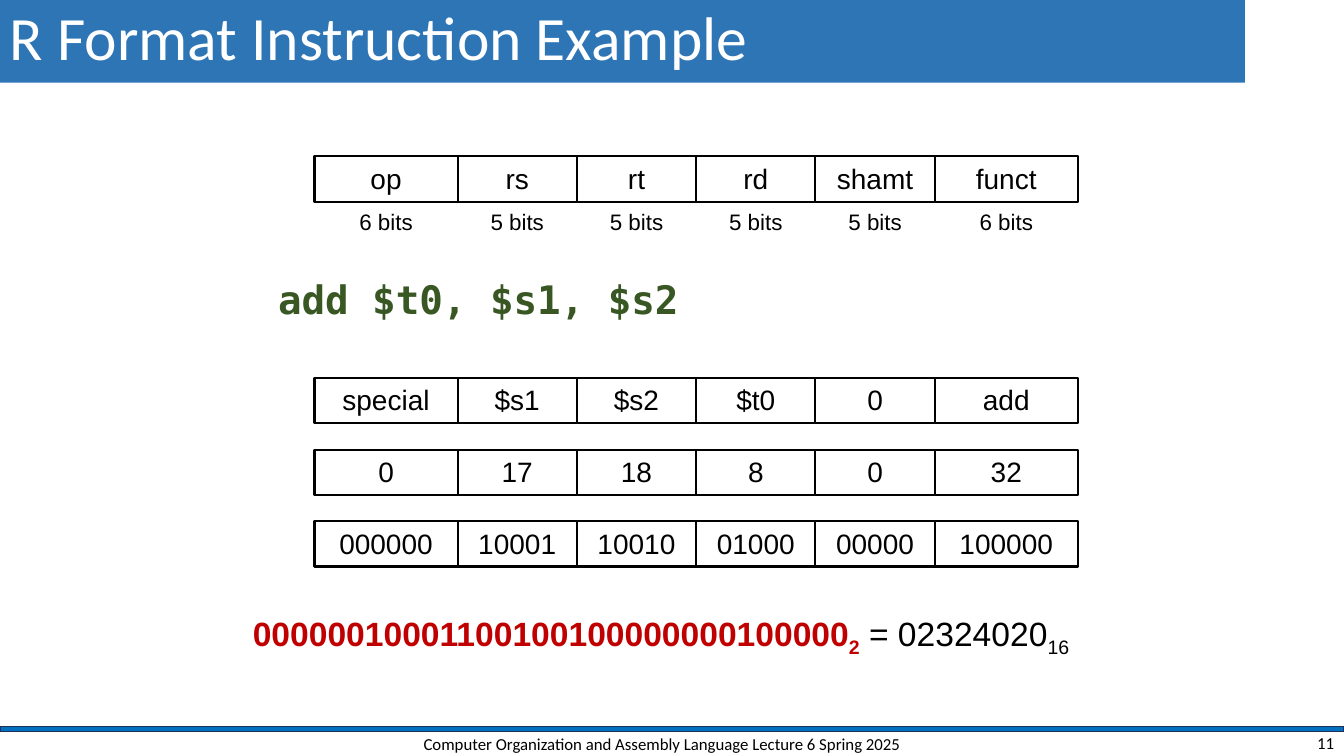
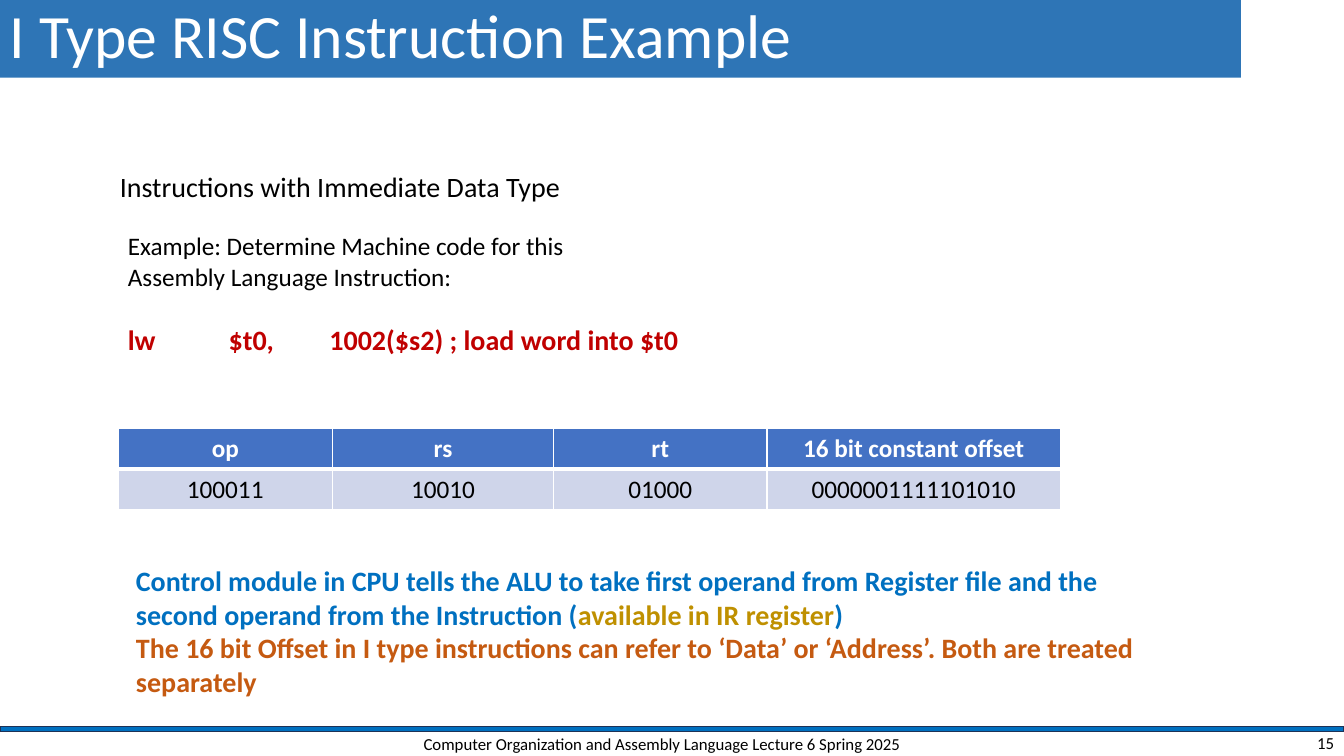
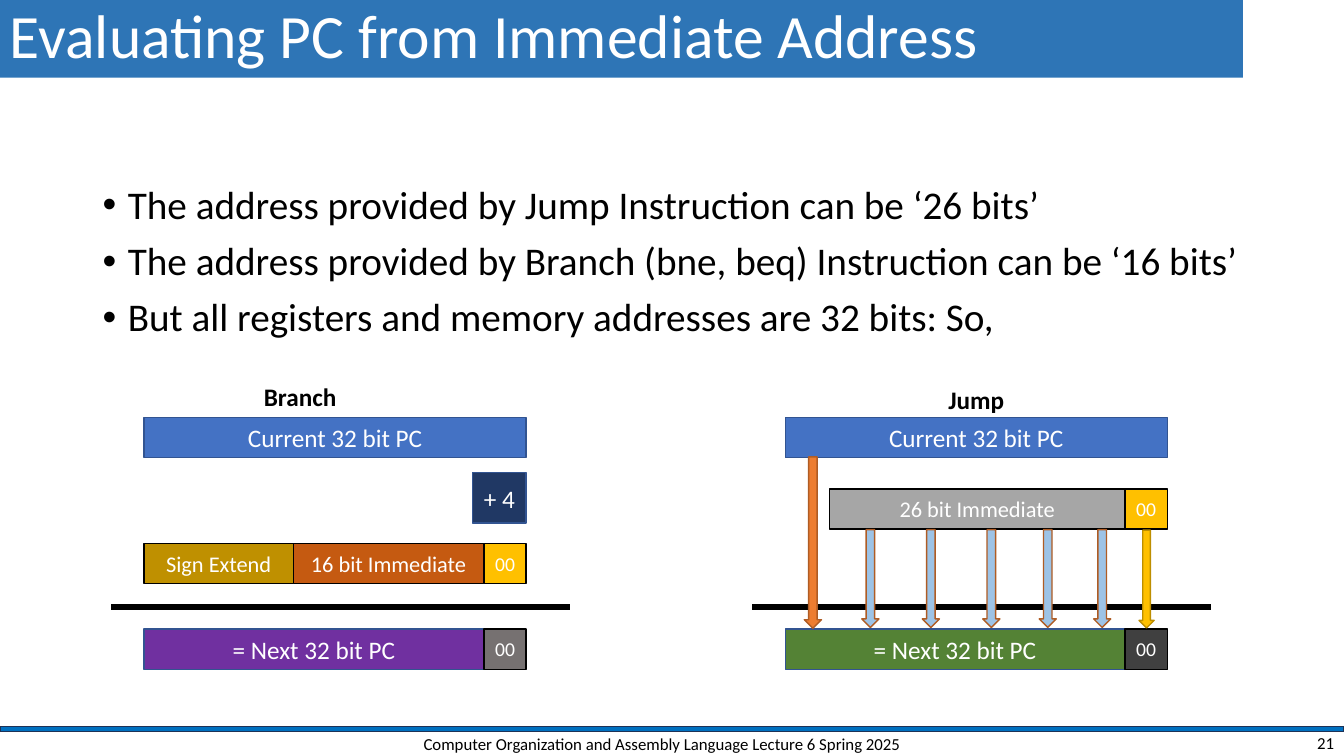
from dataclasses import dataclass
from itertools import accumulate

from pptx import Presentation
from pptx.dml.color import RGBColor
from pptx.enum.shapes import MSO_CONNECTOR, MSO_SHAPE
from pptx.enum.text import MSO_ANCHOR, PP_ALIGN
from pptx.oxml.ns import qn
from pptx.util import Emu, Inches, Pt
from lxml import etree

RECT, DOWN = MSO_SHAPE.RECTANGLE, MSO_SHAPE.DOWN_ARROW
LINE = MSO_CONNECTOR.STRAIGHT
LEFT, MID, RIGHT = PP_ALIGN.LEFT, PP_ALIGN.CENTER, PP_ALIGN.RIGHT
TOP, CORE = MSO_ANCHOR.TOP, MSO_ANCHOR.MIDDLE

# The slide is a grid of square units
COLS, ROWS = 80, 45
UNIT = Inches(7.5) / ROWS


@dataclass(frozen=True)
class Theme:
    # fonts
    body: str = "Calibri"
    plain: str = "Arial"
    code: str = "DejaVu Sans Mono"
    # type sizes
    title: int = 44
    big: int = 28
    sum: int = 24
    lead: int = 20
    text: int = 18
    note: int = 16
    tiny: int = 14
    foot: int = 12
    # colours
    black: str = "000000"
    white: str = "FFFFFF"
    band: str = "2E75B6"
    azure: str = "0070C0"
    edge: str = "1E3256"
    blue: str = "4472C4"
    rim: str = "325491"
    navy: str = "203864"
    pale: str = "CFD5EA"
    sky: str = "9DC3E6"
    red: str = "C00000"
    rust: str = "C55A11"
    amber: str = "ED7D31"
    brown: str = "AF5C24"
    gold: str = "BF9000"
    sun: str = "FFC000"
    ochre: str = "BD8E00"
    plum: str = "7030A0"
    moss: str = "385723"
    green: str = "548235"
    silver: str = "A6A6A6"
    stone: str = "767171"
    coal: str = "404040"


T = Theme()


def grid(*cells):
    return [Emu(round(c * UNIT)) for c in cells]


def rgb(code):
    return RGBColor.from_string(code)


# Text: each paragraph is a string or a list of runs,
# each run a string or a pair of string and format
def write(frame, paras, anchor=TOP, wrap=True, **base):
    frame.word_wrap, frame.vertical_anchor = wrap, anchor
    for i, runs in enumerate([paras] if isinstance(paras, str) else paras):
        para = frame.add_paragraph() if i else frame.paragraphs[0]
        pairs = [(r, {}) if isinstance(r, str) else r
                 for r in ([runs] if isinstance(runs, str) else runs)]
        style(para, **(base | pairs[0][1]))
        for text, more in pairs:
            ink(para.add_run(), text, **(base | more))


def style(para, align=LEFT, line=None, before=None, indent=0, bullet=None,
          tabs=(), **_):
    para.alignment = align
    if line:
        para.line_spacing = line
    if before:
        para.space_before = Pt(before)
    props = para._p.get_or_add_pPr()
    if indent:
        props.set("marL", str(Inches(indent)))
    if bullet:
        props.set("indent", str(-Inches(indent)))
        etree.SubElement(props, qn("a:buFont")).set("typeface", T.plain)
        etree.SubElement(props, qn("a:buChar")).set("char", bullet)
    if tabs:
        stops = etree.SubElement(props, qn("a:tabLst"))
        for tab in tabs:
            etree.SubElement(stops, qn("a:tab"), pos=str(Inches(tab)),
                             algn="l")


def ink(run, text, size=T.text, font=T.body, color=T.black, bold=False,
        drop=0, **_):
    run.text = text
    run.font.size, run.font.name, run.font.bold = Pt(size), font, bold
    run.font.color.rgb = rgb(color)
    if drop:
        run._r.get_or_add_rPr().set("baseline", str(-drop * 1000))


# Elements
def label(slide, at, paras, **fmt):
    write(slide.shapes.add_textbox(*grid(*at)).text_frame, paras, **fmt)


def box(slide, at, fill=None, edge=None, text="", kind=RECT, width=1, **fmt):
    shape = slide.shapes.add_shape(kind, *grid(*at))
    shape.shadow.inherit = False
    if fill:
        shape.fill.solid()
        shape.fill.fore_color.rgb = rgb(fill)
    else:
        shape.fill.background()
    if edge:
        shape.line.color.rgb = rgb(edge)
        shape.line.width = Pt(width)
    else:
        shape.line.fill.background()
    if text:
        write(shape.text_frame, text,
              **(dict(anchor=CORE, align=MID, color=T.white) | fmt))


def bar(slide, left, top, wide):
    line = slide.shapes.add_connector(
        LINE, *grid(left, top, left + wide, top))
    line.line.color.rgb = rgb(T.black)
    line.line.width = Pt(4.5)
    etree.SubElement(line._element.spPr, qn("a:effectLst"))


def border(cell, **sides):
    props = cell._tc.get_or_add_tcPr()
    for side in "LRTB":
        line = etree.SubElement(props, qn(f"a:ln{side}"))
        line.set("w", str(Pt(sides.get(side, 1))))
        fill = etree.SubElement(line, qn("a:solidFill"))
        etree.SubElement(fill, qn("a:srgbClr")).set("val", T.white)


def table(slide, left, top, wides, tall, rows):
    grille = slide.shapes.add_table(
        len(rows), len(wides),
        *grid(left, top, sum(wides), tall * len(rows))).table
    for col, wide in zip(grille.columns, grid(*wides)):
        col.width = wide
    for r, row in enumerate(rows):
        head = r == 0
        for c, text in enumerate(row):
            cell = grille.cell(r, c)
            border(cell, **({"B": 3} if head else {"T": 3}))
            cell.fill.solid()
            cell.fill.fore_color.rgb = rgb(T.blue if head else T.pale)
            write(cell.text_frame, text, align=MID, bold=head,
                  color=T.white if head else T.black)


# Title band, rule and footer of every slide
def page(deck, title, num, band):
    slide = deck.slides.add_slide(deck.slide_layouts[6])
    box(slide, (0, 43.26, COLS, 0.3), T.azure, T.edge)
    box(slide, band, T.band, text=title, size=T.title, align=LEFT, line=0.9)
    foot = dict(size=T.foot, anchor=CORE)
    label(slide, (23.52, 43.44, 31.8, 1.68),
          "Computer Organization and Assembly Language Lecture 6 Spring 2025",
          align=MID, **foot)
    label(slide, (62, 43.44, 18, 1.5), str(num), align=RIGHT, **foot)
    return slide


# Instruction fields, as wide as their bits
BITS = (6, 5, 5, 5, 5, 6)
BIT, EDGE = 1.42, 18.72


def fields():
    ends = accumulate(BITS, initial=0)
    return [(EDGE + BIT * end, BIT * bits) for end, bits in zip(ends, BITS)]


def word(slide, top, names):
    for (left, wide), name in zip(fields(), names.split()):
        box(slide, (left, top, wide, 2.7), None, T.black, name, width=1.5,
            size=T.lead, font=T.plain, color=T.black, anchor=TOP)


def format_r(deck):
    slide = page(deck, "R Format Instruction Example", 11,
                 (0, -0.12, 74.1, 5.04))
    word(slide, 9.3, "op rs rt rd shamt funct")
    for (left, wide), bits in zip(fields(), BITS):
        label(slide, (left + wide / 2 - 2.2, 12.12, 4.4, 2.22),
              f"{bits} bits", size=T.note, font=T.plain, align=MID, wrap=False)
    label(slide, (14.46, 16.38, 54.3, 4.26), "add $t0, $s1, $s2", size=T.big,
          font=T.code, color=T.moss, bold=True, indent=0.25, line=0.9,
          before=10)
    for i, names in enumerate(("special $s1 $s2 $t0 0 add",
                               "0 17 18 8 0 32",
                               "000000 10001 10010 01000 00000 100000")):
        word(slide, 22.5 + 4.26 * i, names)
    strong = dict(color=T.red, bold=True)
    label(slide, (14.46, 36.18, 53.4, 3.3),
          [[("00000010001100100100000000100000", strong),
            ("2", strong | {"drop": 25}),
            " = 02324020", ("16", {"drop": 25})]],
          size=T.sum, font=T.plain)


def type_i(deck):
    slide = page(deck, "I Type RISC Instruction Example", 15,
                 (0, 0, 73.86, 4.62))
    label(slide, (6.54, 9.78, 27.66, 2.64),
          "Instructions with Immediate Data Type", size=T.lead, wrap=False)
    label(slide, (7.02, 13.44, 67.68, 20.82),
          ["Example: Determine Machine code for this",
           "Assembly Language Instruction:",
           [("lw\t$t0,\t1002($s2) ; load word into $t0",
             dict(size=T.lead, color=T.red, bold=True, before=22,
                  tabs=(1, 2)))]])
    table(slide, 7.02, 25.5, (12.78, 13.14, 12.72, 17.46), 2.43,
          [("op", "rs", "rt", "16 bit constant offset"),
           ("100011", "10010", "01000", "0000001111101010")])
    rust = {"color": T.rust}
    label(slide, (7.5, 33.24, 61.14, 8.7),
          ["Control module in CPU tells the ALU to take first operand "
           "from Register file and the",
           ["second operand from the Instruction (",
            ("available in IR register", {"color": T.gold}), ")"],
           [("The 16 bit Offset in I type instructions can refer to "
             "‘Data’ or ‘Address’. Both are treated", rust)],
           [("separately", rust)]],
          size=T.lead, color=T.azure, bold=True, wrap=False)


# Parts of an address sum
FULL, HIGH, TALL = 22.74, 20.22, 2.4


def zeros(slide, left, top, fill):
    box(slide, (left + HIGH, top, FULL - HIGH, TALL), fill, T.black, "00",
        size=T.tiny)


def chain(slide, left, name, spot, fill, tail):
    label(slide, spot, name, bold=True, wrap=False)
    box(slide, (left, 24.84, FULL, TALL), T.blue, T.rim, "Current 32 bit PC")
    box(slide, (left, 37.44, HIGH, TALL), fill, T.rim, "= Next 32 bit PC")
    zeros(slide, left, 37.44, tail)
    bar(slide, left - 1.95, 36.12, 27.3)


def arrow(slide, left, top, wide, tall, fill, edge):
    box(slide, (left, top, wide, tall), fill, edge, kind=DOWN)


def address(deck):
    slide = page(deck, "Evaluating PC from Immediate Address", 21,
                 (0, 0, 73.98, 4.62))
    label(slide, (5.52, 10.74, 69, 10.62),
          ["The address provided by Jump Instruction can be ‘26 bits’",
           "The address provided by Branch (bne, beq) Instruction "
           "can be ‘16 bits’",
           "But all registers and memory addresses are 32 bits: So,"],
          size=T.big, indent=0.25, bullet="•", line=0.9, before=10)

    # Branch
    left = 8.58
    chain(slide, left, "Branch", (15.12, 22.38, 5.58, TALL), T.plum, T.stone)
    box(slide, (28.14, 28.14, 3.18, 3), T.navy, T.rim, "+ 4")
    ext = 8.88
    box(slide, (left, 32.34, ext, TALL), T.gold, T.black, "Sign Extend",
        size=T.note)
    box(slide, (left + ext, 32.34, HIGH - ext, TALL), T.rust, T.black,
        "16 bit Immediate", size=T.note)
    zeros(slide, left, 32.34, T.sun)

    # Jump
    left = 46.74
    chain(slide, left, "Jump", (55.86, 22.56, 4.56, TALL), T.green, T.coal)
    box(slide, (49.38, 29.1, left + HIGH - 49.38, TALL), T.silver, T.black,
        "26 bit Immediate", size=T.note)
    zeros(slide, left, 29.1, T.sun)
    arrow(slide, 67.8, 31.56, 0.9, 5.82, T.sun, T.ochre)
    arrow(slide, 47.88, 27.2, 1.02, 10.2, T.amber, T.brown)
    for spot in (51.3, 54.9, 58.5, 61.86, 65.1):
        arrow(slide, spot, 31.53, 1.02, 5.82, T.sky, T.brown)


def main():
    deck = Presentation()
    deck.slide_width, deck.slide_height = grid(COLS, ROWS)
    format_r(deck)
    type_i(deck)
    address(deck)
    deck.save("out.pptx")


if __name__ == "__main__":
    main()
